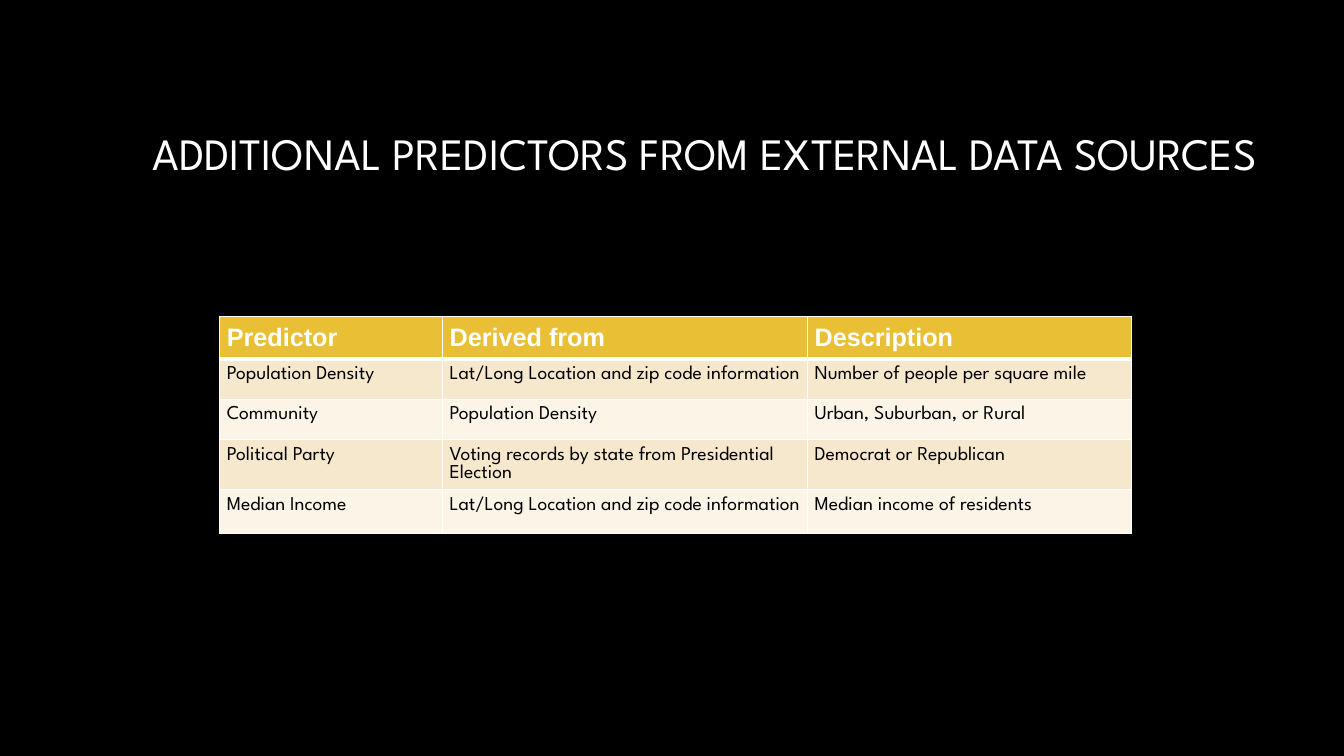
from dataclasses import dataclass

from lxml.etree import SubElement as Sub
from pptx import Presentation
from pptx.dml.color import RGBColor as RGB
from pptx.enum.text import MSO_ANCHOR as Anchor, MSO_AUTO_SIZE as Fit, PP_ALIGN as Align
from pptx.oxml.ns import qn
from pptx.util import Inches, Pt


@dataclass(frozen=True)
class Theme:
    back: str = "000000"
    light: str = "FFFFFF"
    dark: str = "000000"
    head: str = "E9BF35"
    bands: tuple = ("F6E8CC", "FBF4E7")
    body_font: str = "League Spartan"
    head_font: str = "Arial"
    title_size: int = 32
    head_size: int = 18
    body_size: int = 14
    thin: int = 1
    thick: int = 3
    pad: float = 0.07


THEME = Theme()
TITLE = "ADDITIONAL PREDICTORS FROM EXTERNAL DATA SOURCES"
ROWS = (
    ("Predictor", "Derived from", "Description"),
    ("Population Density", "Lat/Long Location and zip code information", "Number of people per square mile"),
    ("Community", "Population Density", "Urban, Suburban, or Rural"),
    ("Political Party", "Voting records by state from Presidential Election", "Democrat or Republican"),
    ("Median Income", "Lat/Long Location and zip code information", "Median income of residents"),
)
COLS = (2.21, 3.62, 3.21)
HEIGHTS = (0.4, 0.4, 0.4, 0.4, 0.43)


def style(para, font, size, color, bold=False):
    for run in para.runs:
        run.font.name = font
        run.font.size = Pt(size)
        run.font.bold = bold
        run.font.color.rgb = RGB.from_string(color)


def edge(cell, side, width):
    line = Sub(cell._tc.get_or_add_tcPr(), qn(f"a:ln{side}"), w=str(Pt(width)))
    fill = Sub(line, qn("a:solidFill"))
    Sub(fill, qn("a:srgbClr"), val=THEME.light)


def add_title(slide, box):
    title = slide.shapes.title
    title.left, title.top, title.width, title.height = map(Inches, box)
    frame = title.text_frame
    frame.text = TITLE
    frame.word_wrap = True
    frame.auto_size = Fit.NONE
    frame.vertical_anchor = Anchor.MIDDLE
    para = frame.paragraphs[0]
    para.alignment = Align.RIGHT
    para.line_spacing = 0.9
    style(para, THEME.body_font, THEME.title_size, THEME.light)


def fill_cell(cell, text, row):
    head = row == 0
    cell.margin_left = cell.margin_right = Inches(THEME.pad)
    cell.margin_top = cell.margin_bottom = Inches(THEME.pad)
    for side in "LRTB":
        heavy = (head and side == "B") or (row == 1 and side == "T")
        edge(cell, side, THEME.thick if heavy else THEME.thin)
    cell.fill.solid()
    color = THEME.head if head else THEME.bands[(row - 1) % 2]
    cell.fill.fore_color.rgb = RGB.from_string(color)
    cell.text_frame.text = text
    para = cell.text_frame.paragraphs[0]
    if head:
        para.alignment = Align.JUSTIFY
        style(para, THEME.head_font, THEME.head_size, THEME.light, True)
    else:
        style(para, THEME.body_font, THEME.body_size, THEME.dark)


def add_grid(slide, box):
    frame = slide.shapes.add_table(len(ROWS), len(COLS), *map(Inches, box))
    table = frame.table
    for col, width in zip(table.columns, COLS):
        col.width = Inches(width)
    for row, height in zip(table.rows, HEIGHTS):
        row.height = Inches(height)
    for r, texts in enumerate(ROWS):
        for c, text in enumerate(texts):
            fill_cell(table.cell(r, c), text, r)


def main():
    deck = Presentation()
    deck.slide_width, deck.slide_height = Inches(13.33), Inches(7.5)
    slide = deck.slides.add_slide(deck.slide_layouts[5])
    slide.background.fill.solid()
    slide.background.fill.fore_color.rgb = RGB.from_string(THEME.back)
    add_title(slide, (0.81, 0.84, 11.77, 1.41))
    add_grid(slide, (2.18, 3.14, sum(COLS), sum(HEIGHTS)))
    deck.save("out.pptx")


if __name__ == "__main__":
    main()
